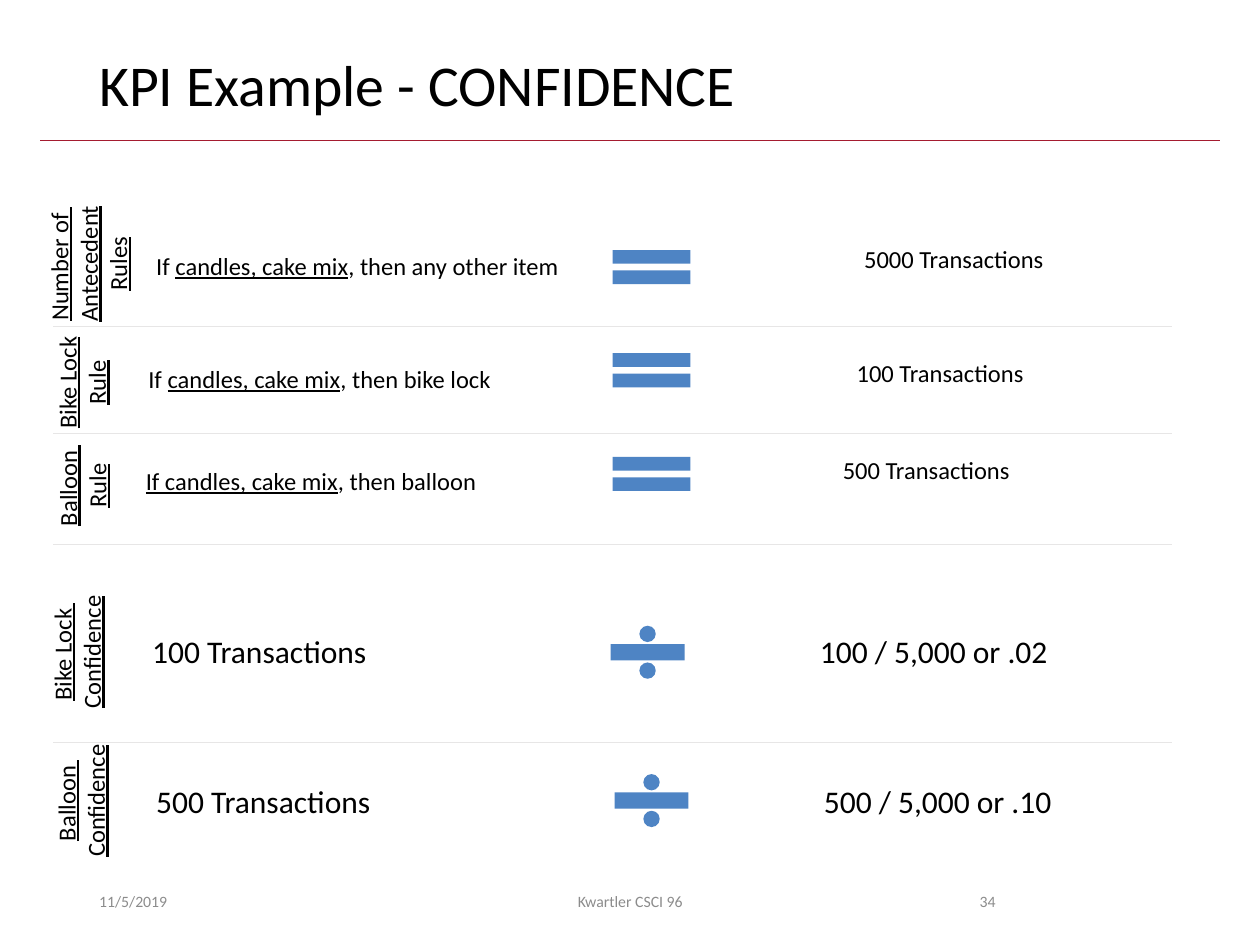
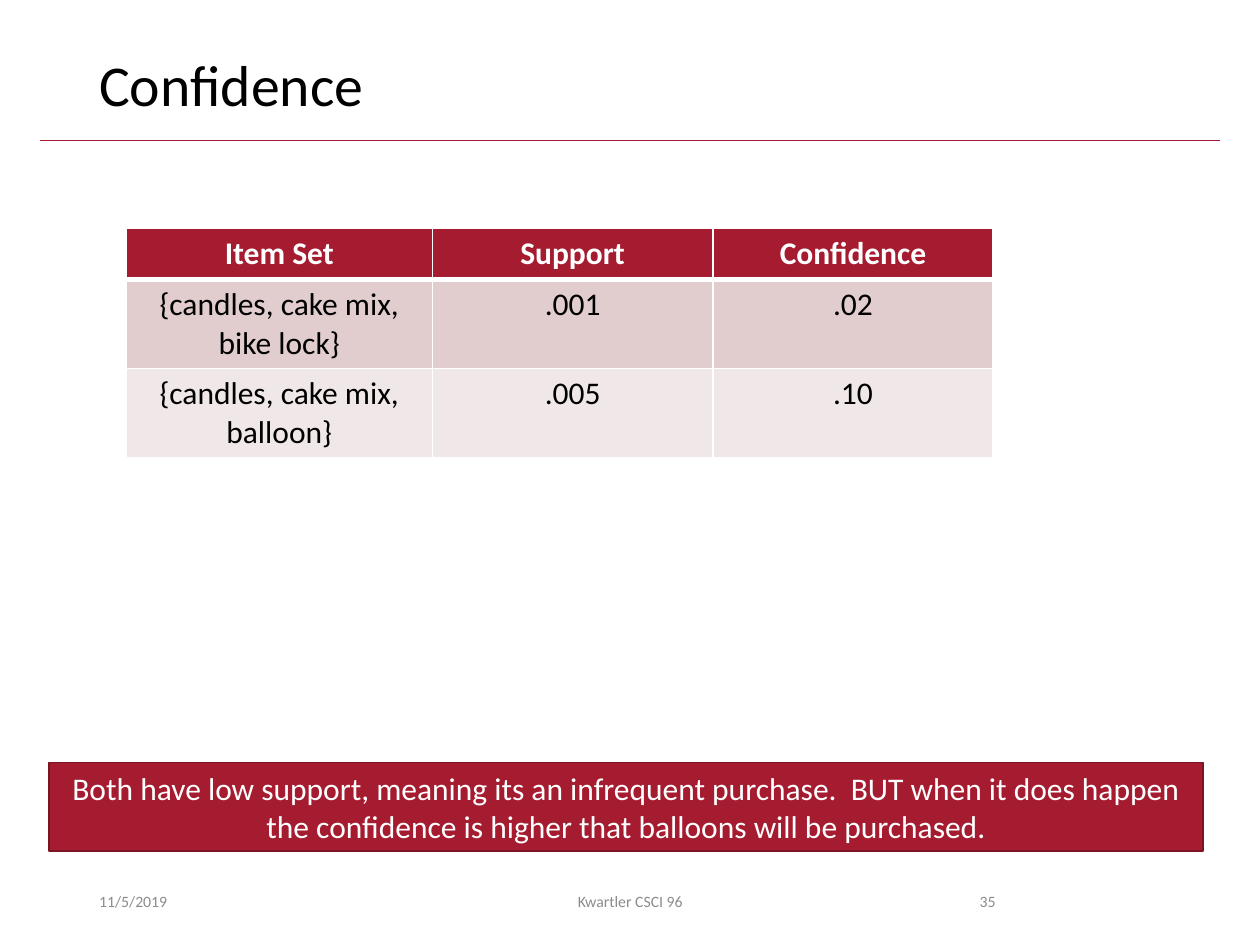
from lxml import etree
from pptx import Presentation
from pptx.dml.color import RGBColor
from pptx.enum.shapes import MSO_CONNECTOR, MSO_SHAPE
from pptx.enum.text import MSO_ANCHOR, MSO_AUTO_SIZE, PP_ALIGN
from pptx.oxml.ns import qn
from pptx.util import Cm, Pt

LEFT, CENTER, RIGHT = PP_ALIGN.LEFT, PP_ALIGN.CENTER, PP_ALIGN.RIGHT
TOP, MIDDLE = MSO_ANCHOR.TOP, MSO_ANCHOR.MIDDLE
FIT_SHAPE = MSO_AUTO_SIZE.SHAPE_TO_FIT_TEXT
STRAIGHT = MSO_CONNECTOR.STRAIGHT
EQUAL, DIVIDE = MSO_SHAPE.MATH_EQUAL, MSO_SHAPE.MATH_DIVIDE
RECT = MSO_SHAPE.RECTANGLE

FONT = "Calibri"
COLORS = {
    "text": "000000", "white": "FFFFFF", "footer": "8C8C8C",
    "crimson": "A51C30", "crimson_dark": "7A1524",
    "symbol": "4E84C4", "separator": "E7E6E6",
    "band_dark": "E1CDCD", "band_light": "F0E8E8",
}
SYMBOL_SIZES = {EQUAL: (2.13, 1.17), DIVIDE: (2.03, 1.4)}
LINE_HEIGHT = 0.86
ROWS_LEFT, ROWS_WIDTH, ROWS_TOP = 1.07, 22.55, 4.04

# Offsets are in centimetres from the row's top left corner.
KPI_ROWS = [
    dict(height=2.54, size=14, label=["Number of ", "Antecedent", "Rules"],
         label_center=(0.72, 1.28), label_size=(2.87, 2.06),
         rule=[("If ", False), ("candles, cake mix", True),
               (", then any other item", False)],
         rule_at=(1.83, 0.89, 8.69), symbol=EQUAL, symbol_at=(11, 0.76),
         result="5000 Transactions", result_at=(16.1, 0.76, 4.17)),
    dict(height=2.16, size=14, label=["Bike Lock", "Rule"],
         label_center=(0.58, 1.13), label_size=(2.39, 1.45),
         rule=[("If ", False), ("candles, cake mix", True),
               (", then bike lock", False)],
         rule_at=(1.67, 0.63, 7.47), symbol=EQUAL, symbol_at=(11, 0.3),
         result="100 Transactions", result_at=(15.95, 0.51, 3.91)),
    dict(height=2.23, size=14, label=["Balloon ", "Rule"],
         label_center=(0.59, 1.05), label_size=(2.16, 1.45),
         rule=[("If candles, cake mix", True), (", then balloon", False)],
         rule_at=(1.62, 0.53, 7.24), symbol=EQUAL, symbol_at=(11, 0.23),
         result="500 Transactions", result_at=(15.67, 0.3, 3.91)),
    dict(height=3.99, size=18, label=["Bike Lock ", "Confidence"],
         label_center=(0.48, 2.17), label_size=(2.79, 1.45),
         rule=[("100 Transactions", False)],
         rule_at=(1.75, 1.65, 4.88), symbol=DIVIDE, symbol_at=(10.97, 1.48),
         result="100 / 5,000 or .02", result_at=(15.21, 1.65, 5.16)),
    dict(height=2.54, size=18, label=["Balloon ", "Confidence"],
         label_center=(0.56, 1.18), label_size=(2.79, 1.45),
         rule=[("500 Transactions", False)],
         rule_at=(1.83, 0.69, 4.88), symbol=DIVIDE, symbol_at=(11.05, 0.48),
         result="500 / 5,000 or .10", result_at=(15.29, 0.69, 5.16)),
]
CONFIDENCE_TABLE = [
    ["Item Set", "Support", "Confidence"],
    ["{candles, cake mix, bike lock}", ".001", ".02"],
    ["{candles, cake mix, balloon}", ".005", ".10"],
]
TAKEAWAY = ("Both have low support, meaning its an infrequent purchase.  "
            "BUT when it does happen the confidence is higher that balloons "
            "will be purchased.")


def rgb(name):
    return RGBColor.from_string(COLORS[name])


def write(tf, paragraphs, size, color="text", align=LEFT, bold=False):
    for i, runs in enumerate(paragraphs):
        p = tf.add_paragraph() if i else tf.paragraphs[0]
        p.alignment = align
        for text, underline in runs:
            r = p.add_run()
            r.text = text
            r.font.name = FONT
            r.font.size = Pt(size)
            r.font.bold = bold
            r.font.underline = underline
            r.font.color.rgb = rgb(color)


def add_text(s, box, paragraphs, size, color="text", align=LEFT,
             anchor=TOP, wrap=True):
    sp = s.shapes.add_textbox(*map(Cm, box))
    tf = sp.text_frame
    tf.word_wrap = wrap
    tf.vertical_anchor = anchor
    if not wrap:
        tf.auto_size = FIT_SHAPE
    write(tf, paragraphs, size, color, align)
    return sp


def add_rule(s, left, top, width, color):
    line = s.shapes.add_connector(STRAIGHT, Cm(left), Cm(top),
                                  Cm(left + width), Cm(top))
    line.line.color.rgb = rgb(color)
    line.line.width = Pt(0.5)
    etree.SubElement(line._element.spPr, qn("a:effectLst"))


def add_filled(s, kind, box, fill):
    sp = s.shapes.add_shape(kind, *map(Cm, box))
    sp.shadow.inherit = False
    sp.fill.solid()
    sp.fill.fore_color.rgb = rgb(fill)
    sp.line.fill.background()
    return sp


def add_base_slide(prs, title, number):
    s = prs.slides.add_slide(prs.slide_layouts[6])
    add_rule(s, 0.81, 2.84, 23.78, "crimson")
    sp = add_text(s, (1.75, 1.02, 21.9, 1.65), [[(title, False)]], 33)
    sp.text_frame.paragraphs[0].line_spacing = 0.9
    for left, width, text, align in [
        (1.75, 5.72, "11/5/2019", LEFT),
        (8.41, 8.59, "Kwartler CSCI 96", CENTER),
        (17.93, 2.39, str(number), RIGHT),
    ]:
        add_text(s, (left, 17.65, width, 1.02), [[(text, False)]], 9,
                 "footer", align, MIDDLE)
    return s


def add_kpi_row(s, left, top, row):
    def inside(dx, dy, width, height):
        return left + dx, top + dy, width, height

    (cx, cy), (width, height) = row["label_center"], row["label_size"]
    label = add_text(s, inside(cx - width / 2, cy - height / 2, width, height),
                     [[(text, True)] for text in row["label"]], 14,
                     align=CENTER, wrap=False)
    label.rotation = 270
    text_height = LINE_HEIGHT if row["size"] == 14 else 1.02
    for runs, at in [(row["rule"], row["rule_at"]),
                     ([(row["result"], False)], row["result_at"])]:
        add_text(s, inside(*at, text_height), [runs], row["size"], wrap=False)
    symbol = row["symbol"]
    add_filled(s, symbol, inside(*row["symbol_at"], *SYMBOL_SIZES[symbol]),
               "symbol")


def add_kpi_rows(s, left, top, width):
    for i, row in enumerate(KPI_ROWS):
        if i:
            add_rule(s, left, top, width, "separator")
        add_kpi_row(s, left, top, row)
        top += row["height"]


def set_borders(cell, widths):
    tcPr = cell._tc.get_or_add_tcPr()
    for i, (side, width) in enumerate(widths.items()):
        ln = etree.Element(qn("a:ln" + side), w=str(Pt(width)))
        fill = etree.SubElement(ln, qn("a:solidFill"))
        etree.SubElement(fill, qn("a:srgbClr"), val=COLORS["white"])
        tcPr.insert(i, ln)


def add_confidence_table(s, left, top, col_widths, row_heights):
    box = left, top, sum(col_widths), sum(row_heights)
    table = s.shapes.add_table(len(row_heights), len(col_widths),
                               *map(Cm, box)).table
    for col, width in zip(table.columns, col_widths):
        col.width = Cm(width)
    fills = ["crimson", "band_dark", "band_light"]
    for i, (height, values) in enumerate(zip(row_heights, CONFIDENCE_TABLE)):
        table.rows[i].height = Cm(height)
        header = i == 0
        for j, value in enumerate(values):
            cell = table.cell(i, j)
            cell.fill.solid()
            cell.fill.fore_color.rgb = rgb(fills[i])
            set_borders(cell, {"L": 1, "R": 1, "T": 3 if i == 1 else 1,
                               "B": 3 if header else 1})
            write(cell.text_frame, [[(value, False)]], 18,
                  "white" if header else "text", CENTER, header)


def add_takeaway(s, box):
    sp = add_filled(s, RECT, box, "crimson")
    sp.line.color.rgb = rgb("crimson_dark")
    sp.line.width = Pt(1)
    tf = sp.text_frame
    tf.word_wrap = True
    tf.vertical_anchor = MIDDLE
    write(tf, [[(TAKEAWAY, False)]], 18, "white", CENTER)


def main():
    prs = Presentation()
    prs.slide_width, prs.slide_height = Cm(25.4), Cm(19.05)

    s = add_base_slide(prs, "KPI Example - CONFIDENCE", 34)
    add_kpi_rows(s, ROWS_LEFT, ROWS_TOP, ROWS_WIDTH)

    s = add_base_slide(prs, "Confidence", 35)
    add_confidence_table(s, 2.54, 4.6, [6.18, 5.65, 5.65], [1.03, 1.8, 1.8])
    add_takeaway(s, (0.99, 15.37, 23.27, 1.78))

    prs.save("out.pptx")


if __name__ == "__main__":
    main()
